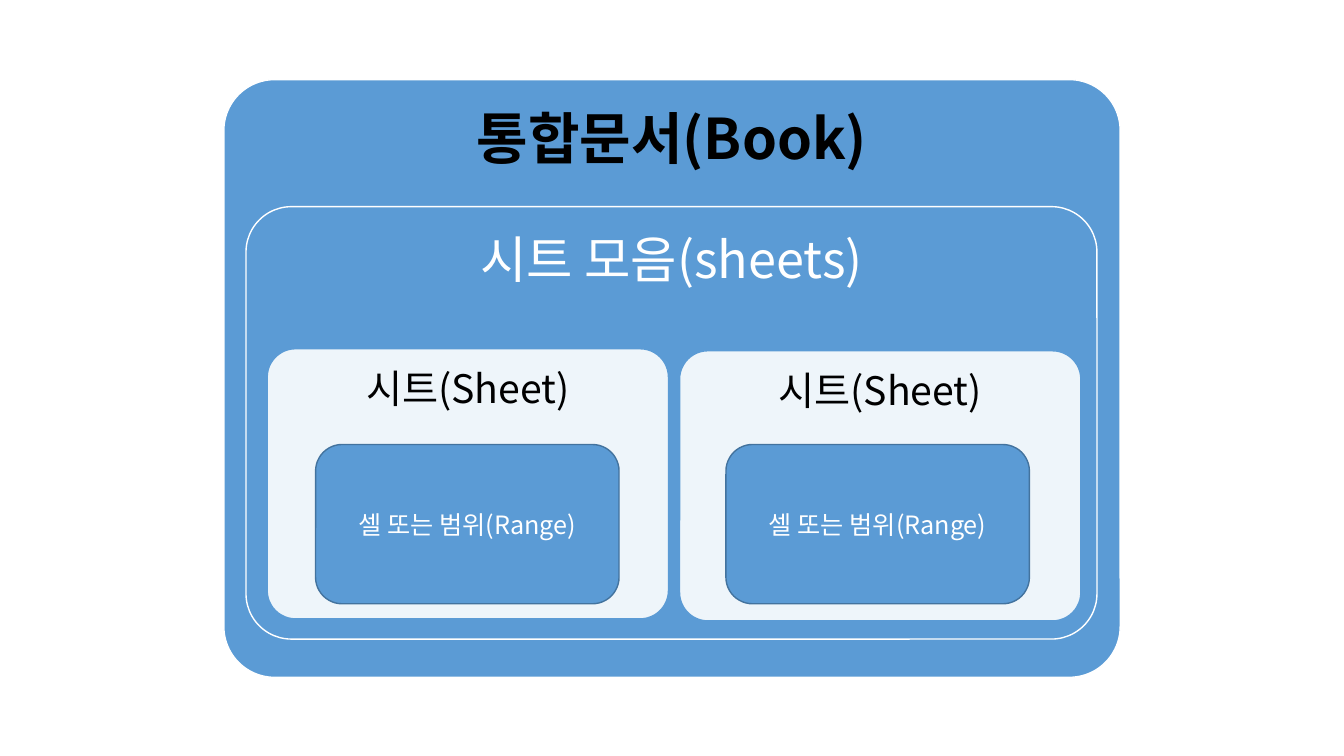
from dataclasses import dataclass

from lxml.etree import SubElement
from pptx import Presentation
from pptx.dml.color import RGBColor
from pptx.enum.shapes import MSO_SHAPE
from pptx.enum.text import MSO_ANCHOR, PP_ALIGN
from pptx.oxml.ns import qn
from pptx.slide import Slide
from pptx.util import Emu, Pt

EMU_PER_PX = 9144  # 100 px to the inch
FONT = "Noto Sans CJK KR"
COLORS = {
    "blue": "5B9BD5",
    "dark_blue": "43739E",
    "white": "FFFFFF",
    "black": "000000",
}


@dataclass(frozen=True)
class BoxStyle:
    fill: str
    line: str
    text_color: str
    font_size: int
    corner: float
    margin: int
    bold: bool = False
    opacity: int = 100
    line_spacing: float = 0.9
    anchor: MSO_ANCHOR = MSO_ANCHOR.TOP


@dataclass(frozen=True)
class Box:
    text: str
    left: int
    top: int
    width: int
    height: int
    style: BoxStyle


# Styles, one for each level of the hierarchy
BOOK = BoxStyle("blue", "white", "black", 40, 0.085, 17, bold=True)
SHEETS = BoxStyle("blue", "white", "white", 36, 0.105, 15)
SHEET = BoxStyle("white", "blue", "black", 28, 0.105, 12, opacity=90)
RANGE = BoxStyle("blue", "dark_blue", "white", 18, 0.1667, 10,
                 line_spacing=1.0, anchor=MSO_ANCHOR.MIDDLE)

# Boxes from the outermost to the innermost
BOXES = [
    Box("통합문서(Book)", 222, 79, 889, 593, BOOK),
    Box("시트 모음(sheets)", 244, 205, 844, 429, SHEETS),
    *(Box("시트(Sheet)", left, top, 398, 268, SHEET)
      for left, top in ((265, 346), (674, 348))),
    *(Box("셀 또는 범위(Range)", left, 441, 301, 158, RANGE)
      for left in (313, 720)),
]


def px(length: int) -> Emu:
    return Emu(length * EMU_PER_PX)


def color(name: str) -> RGBColor:
    return RGBColor.from_string(COLORS[name])


def draw_box(slide: Slide, box: Box) -> None:
    style = box.style
    shape = slide.shapes.add_shape(
        MSO_SHAPE.ROUNDED_RECTANGLE,
        px(box.left), px(box.top), px(box.width), px(box.height))
    shape.adjustments[0] = style.corner
    shape.shadow.inherit = False

    # Fill and outline
    shape.fill.solid()
    shape.fill.fore_color.rgb = color(style.fill)
    if style.opacity < 100:
        fill_color = shape.fill._xPr.find(qn("a:solidFill"))[0]
        SubElement(fill_color, qn("a:alpha"), val=str(style.opacity * 1000))
    shape.line.color.rgb = color(style.line)
    shape.line.width = Pt(1)

    # Label
    text_frame = shape.text_frame
    text_frame.text = box.text
    text_frame.word_wrap = True
    text_frame.vertical_anchor = style.anchor
    text_frame.margin_left = text_frame.margin_right = px(style.margin)
    text_frame.margin_top = text_frame.margin_bottom = px(style.margin)
    paragraph = text_frame.paragraphs[0]
    paragraph.alignment = PP_ALIGN.CENTER
    paragraph.line_spacing = style.line_spacing
    font = paragraph.runs[0].font
    font.name = FONT
    font.size = Pt(style.font_size)
    font.bold = style.bold
    font.color.rgb = color(style.text_color)
    SubElement(font._element, qn("a:ea"), typeface=FONT)


def main() -> None:
    presentation = Presentation()
    presentation.slide_width = px(1333)
    presentation.slide_height = px(750)
    slide = presentation.slides.add_slide(presentation.slide_layouts[6])
    for box in BOXES:
        draw_box(slide, box)
    presentation.save("out.pptx")


if __name__ == "__main__":
    main()
